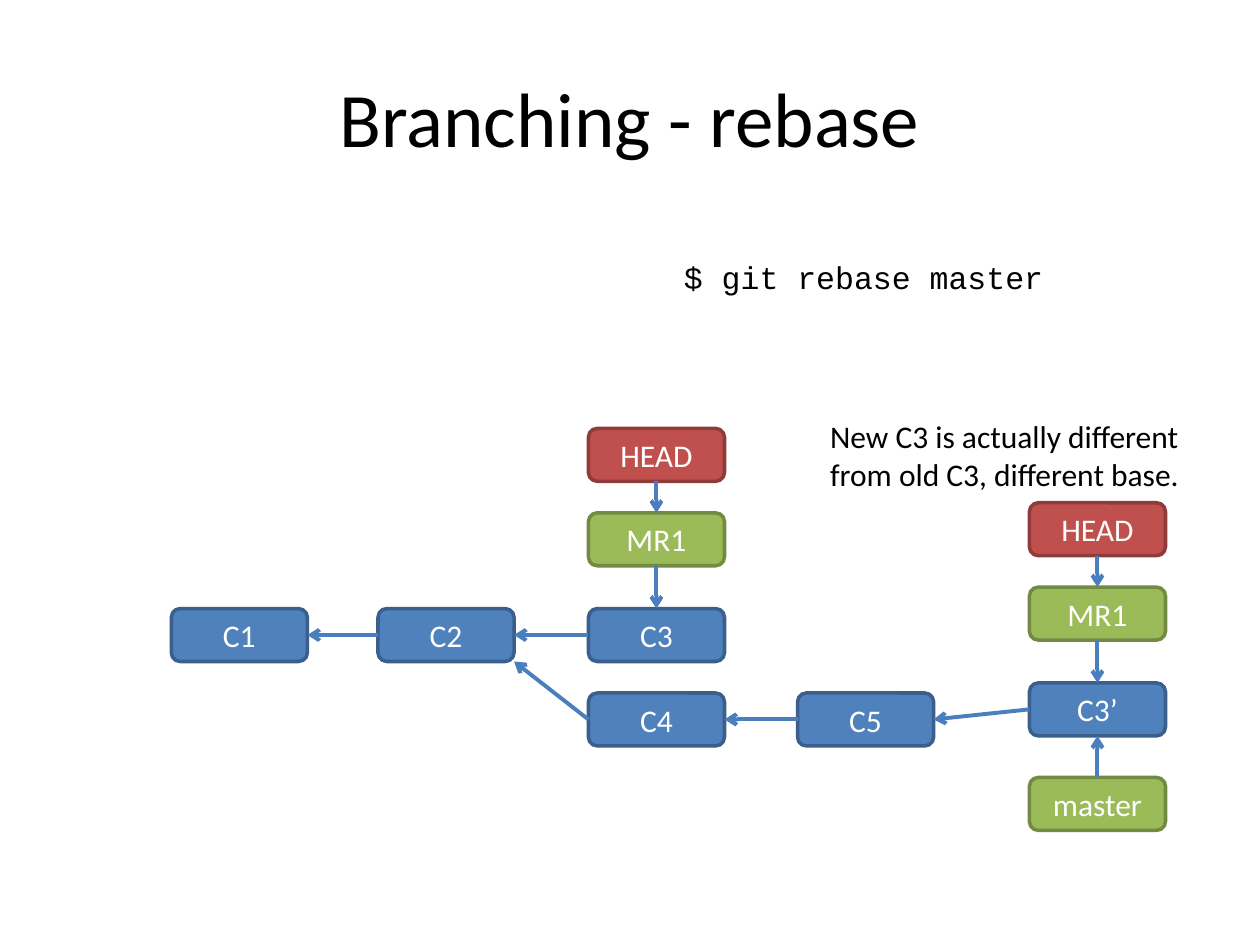
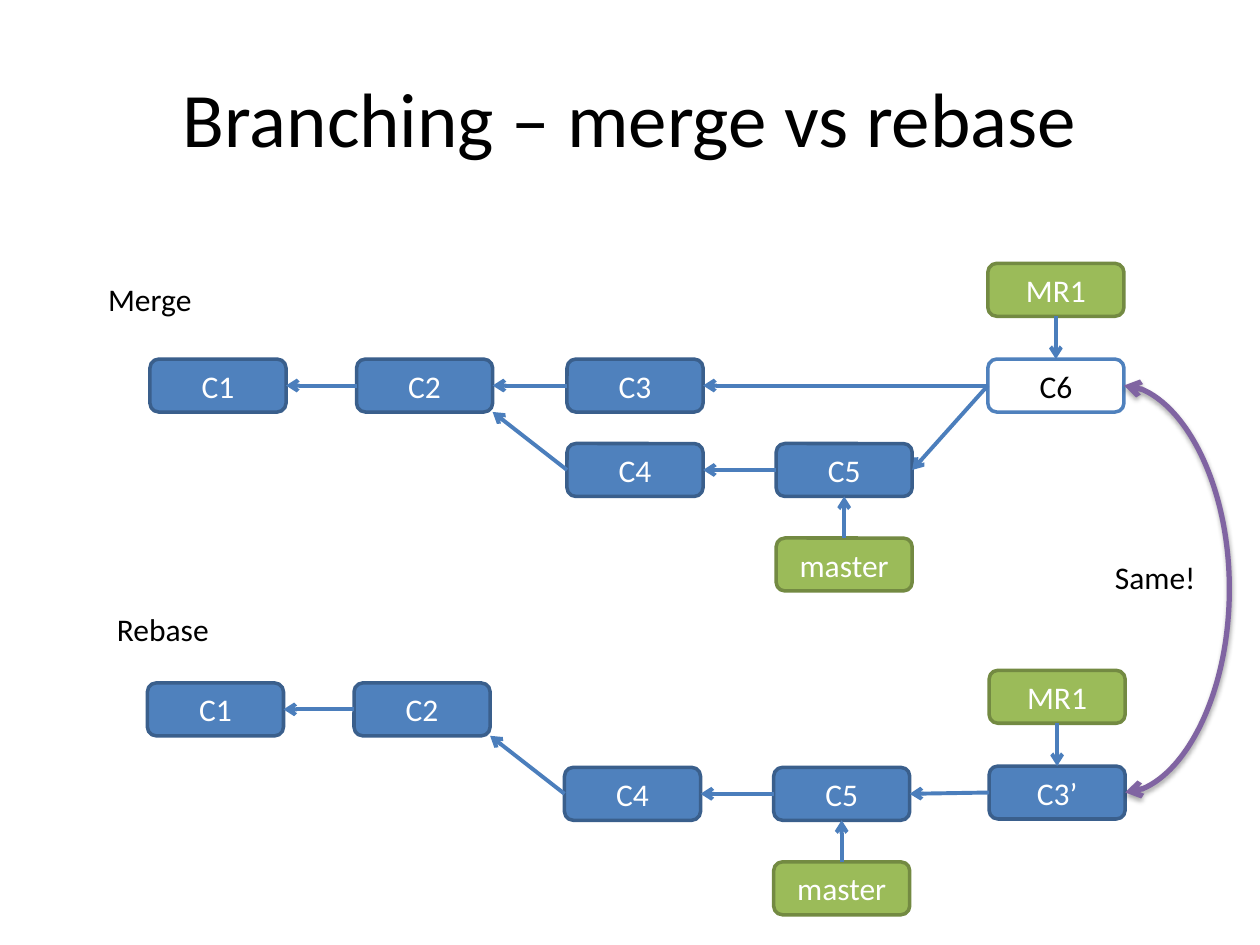
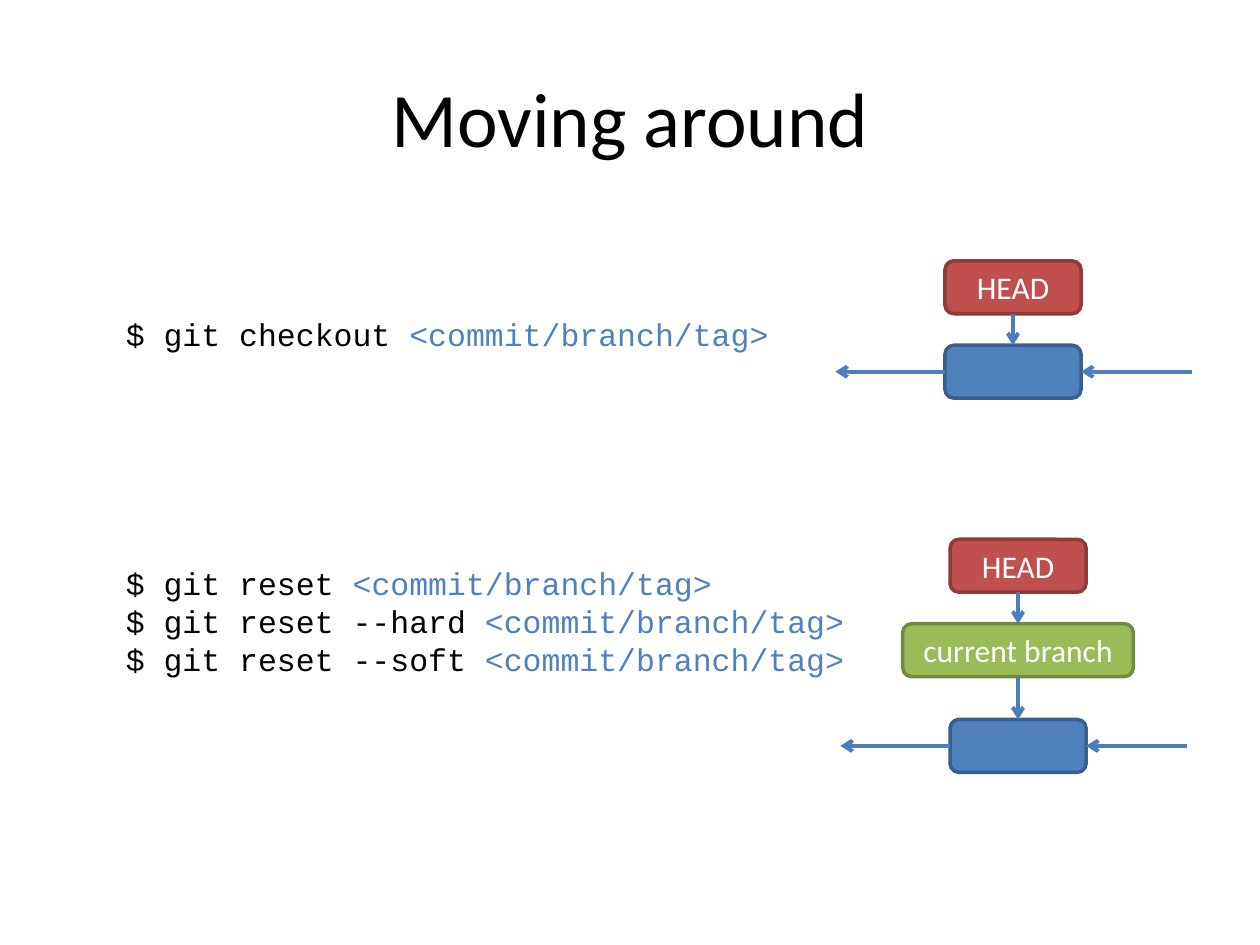
"""Build three slides that compare git merge, rebase, checkout and reset."""
from dataclasses import dataclass

from lxml.etree import SubElement
from pptx import Presentation
from pptx.dml.color import RGBColor
from pptx.enum.shapes import MSO_CONNECTOR as CONN, MSO_SHAPE as SHAPE
from pptx.enum.text import MSO_ANCHOR as ANCHOR, PP_ALIGN as ALIGN
from pptx.oxml.ns import qn
from pptx.util import Inches, Pt


@dataclass(frozen=True)
class Theme:
    commit: tuple = ("4F81BD", "3A5F8C", "FFFFFF")
    branch: tuple = ("9BBB59", "738A42", "FFFFFF")
    head: tuple = ("C0504D", "8E3B39", "FFFFFF")
    merged: tuple = ("FFFFFF", "4F81BD", "000000")
    text: str = "000000"
    argument: str = "4F81BD"
    arrow: str = "4B7EBC"
    curve: str = "8064A2"
    font: str = "Calibri"
    mono: str = "Courier New"
    title_size: int = 44
    body_size: int = 18
    box_line: float = 2
    arrow_line: float = 2.25
    curve_line: float = 3


BOX_W, BOX_H = 1.08, 0.42
HEAD_GAP, BRANCH_GAP, MASTER_GAP = -0.67, -0.76, 0.75
SITES = {"top": 0, "left": 1, "bottom": 2, "right": 3}
ANCHORS = {"top": (0.5, 0), "left": (0, 0.5), "bottom": (0.5, 1),
           "right": (1, 0.5), "corner": (1, 1)}
ARGUMENT = "<commit/branch/tag>"


def rgb(color):
    return RGBColor.from_string(color)


def anchor(sp, side):
    fx, fy = ANCHORS[side]
    return int(sp.left + fx * sp.width), int(sp.top + fy * sp.height)


class Deck:
    def __init__(self, theme):
        self.theme = theme
        self.prs = Presentation()
        self.prs.slide_width, self.prs.slide_height = Inches(10), Inches(7.5)

    def slide(self, title):
        self.shapes = self.prs.slides.add_slide(self.prs.slide_layouts[6]).shapes
        tf = self.text([[(title, self.theme.text)]], 0.5, 0.3, 9, 1.25,
                       size=self.theme.title_size, wrap=True)
        tf.vertical_anchor = ANCHOR.MIDDLE
        tf.paragraphs[0].alignment = ALIGN.CENTER

    def text(self, lines, x, y, w, h=0.4, font=None, size=None, wrap=False):
        tf = self.shapes.add_textbox(Inches(x), Inches(y), Inches(w), Inches(h)).text_frame
        tf.word_wrap = wrap
        for i, line in enumerate(lines):
            p = tf.add_paragraph() if i else tf.paragraphs[0]
            p.font.name = font or self.theme.font
            p.font.size = Pt(size or self.theme.body_size)
            for words, color in line:
                r = p.add_run()
                r.text = words
                r.font.color.rgb = rgb(color)
        return tf

    def note(self, words, x, y, w, h=0.4, wrap=False):
        self.text([[(words, self.theme.text)]], x, y, w, h, wrap=wrap)

    def commands(self, commands, x, y, w, h=0.4, argument=ARGUMENT):
        lines = [[(f"$ {command} ", self.theme.text), (argument, self.theme.argument)]
                 if argument else [(f"$ {command}", self.theme.text)]
                 for command in commands]
        self.text(lines, x, y, w, h, font=self.theme.mono)

    def box(self, label, x, y, style=None, w=BOX_W):
        fill, line, color = style or self.theme.commit
        sp = self.shapes.add_shape(SHAPE.ROUNDED_RECTANGLE, Inches(x), Inches(y),
                                   Inches(w), Inches(BOX_H))
        sp.shadow.inherit = False
        sp.fill.solid()
        sp.fill.fore_color.rgb = rgb(fill)
        sp.line.color.rgb = rgb(line)
        sp.line.width = Pt(self.theme.box_line)
        if label:
            sp.text_frame.vertical_anchor = ANCHOR.MIDDLE
            p = sp.text_frame.paragraphs[0]
            p.text, p.alignment = label, ALIGN.CENTER
            p.font.name, p.font.size = self.theme.font, Pt(self.theme.body_size)
            p.font.color.rgb = rgb(color)
        return sp

    def connector(self, kind, start, end, color, width, ends=("tailEnd",)):
        cxn = self.shapes.add_connector(kind, *start, *end)
        cxn.line.color.rgb = rgb(color)
        cxn.line.width = Pt(width)
        for name in ends:
            SubElement(cxn.line._get_or_add_ln(), qn(f"a:{name}"), type="arrow")
        effects = SubElement(cxn._element.spPr, qn("a:effectLst"))
        return cxn, effects

    def arrow(self, start, end):
        return self.connector(CONN.STRAIGHT, start, end,
                              self.theme.arrow, self.theme.arrow_line)[0]

    def link(self, source, target, start="left", end="right"):
        cxn = self.arrow(anchor(source, start), anchor(target, end))
        cxn.begin_connect(source, SITES[start])
        if end in SITES:
            cxn.end_connect(target, SITES[end])

    def curve(self, source, target, bulge):
        start, end = anchor(source, "right"), anchor(target, "right")
        cxn, effects = self.connector(CONN.CURVE, start, end, self.theme.curve,
                                      self.theme.curve_line, ("headEnd", "tailEnd"))
        ratio = round(Inches(bulge) / (end[0] - start[0]) * 100000)
        guides = cxn._element.spPr.find(qn("a:prstGeom")).find(qn("a:avLst"))
        SubElement(guides, qn("a:gd"), name="adj1", fmla=f"val {ratio}")
        shadow = SubElement(effects, qn("a:outerShdw"), blurRad=str(Pt(3.1)),
                            dist=str(Pt(1.8)), dir="5400000", rotWithShape="0")
        color = SubElement(shadow, qn("a:srgbClr"), val="000000")
        SubElement(color, qn("a:alpha"), val="35000")

    def pointer(self, label, target, gap, style, w=BOX_W):
        x = (target.left + target.width / 2) / Inches(1) - w / 2
        sp = self.box(label, x, target.top / Inches(1) + gap, style, w)
        sides = ("bottom", "top") if gap < 0 else ("top", "bottom")
        self.link(sp, target, *sides)
        return sp

    def branch(self, label, target, w=BOX_W):
        return self.pointer(label, target, BRANCH_GAP, self.theme.branch, w)

    def head(self, target):
        self.pointer("HEAD", target, HEAD_GAP, self.theme.head)

    def master(self, target):
        self.pointer("master", target, MASTER_GAP, self.theme.branch)

    def history(self, x, y, with_c3=True):
        c1, c2 = self.box("C1", x, y), self.box("C2", x + 1.64, y)
        c4, c5 = (self.box(label, x + dx, y + 0.67)
                  for label, dx in (("C4", 3.31), ("C5", 4.97)))
        self.link(c2, c1)
        self.link(c4, c2, end="corner")
        self.link(c5, c4)
        c3 = None
        if with_c3:
            c3 = self.box("C3", x + 3.31, y)
            self.link(c3, c2)
        return c3, c5

    def lone_commit(self, x, y, reach):
        commit = self.box("", x, y)
        left, right = anchor(commit, "left"), anchor(commit, "right")
        self.arrow(left, (left[0] - Inches(0.87), left[1]))
        self.arrow((right[0] + Inches(reach), right[1]), right)
        return commit


def rebase_slide(deck):
    deck.slide("Branching - rebase")
    deck.commands(["git rebase master"], 5.33, 2, 3.07, argument="")
    deck.note("New C3 is actually different from old C3, different base.",
              6.49, 3.26, 3.17, 0.71, wrap=True)
    c3, c5 = deck.history(1.36, 4.83)
    rebased = deck.box("C3’", 8.17, 5.42)
    deck.link(rebased, c5)
    for commit in (c3, rebased):
        deck.head(deck.branch("MR1", commit))
    deck.master(rebased)


def compare_slide(deck):
    deck.slide("Branching – merge vs rebase")
    deck.note("Merge", 0.76, 2.17, 0.87)
    c3, merge_c5 = deck.history(1.19, 2.85)
    merged = deck.box("C6", 7.84, 2.85, deck.theme.merged)
    deck.link(merged, c3)
    deck.link(merged, merge_c5)
    deck.note("Rebase", 0.83, 4.79, 0.94)
    _, rebase_c5 = deck.history(1.17, 5.42, with_c3=False)
    rebased = deck.box("C3’", 7.85, 6.08)
    deck.link(rebased, rebase_c5)
    for tip, c5 in ((merged, merge_c5), (rebased, rebase_c5)):
        deck.branch("MR1", tip)
        deck.master(c5)
    deck.curve(merged, rebased, 0.85)
    deck.note("Same!", 8.75, 4.38, 0.85)


def moving_slide(deck):
    deck.slide("Moving around")
    deck.commands(["git checkout"], 0.9, 2.45, 5.33)
    deck.commands(["git reset", "git reset --hard", "git reset --soft"],
                  0.9, 4.43, 5.93, 1.01)
    deck.head(deck.lone_commit(7.5, 2.74, 0.88))
    deck.head(deck.branch("current branch", deck.lone_commit(7.54, 5.71, 0.8), 1.83))


def main():
    deck = Deck(Theme())
    for build in (rebase_slide, compare_slide, moving_slide):
        build(deck)
    deck.prs.save("out.pptx")


if __name__ == "__main__":
    main()
